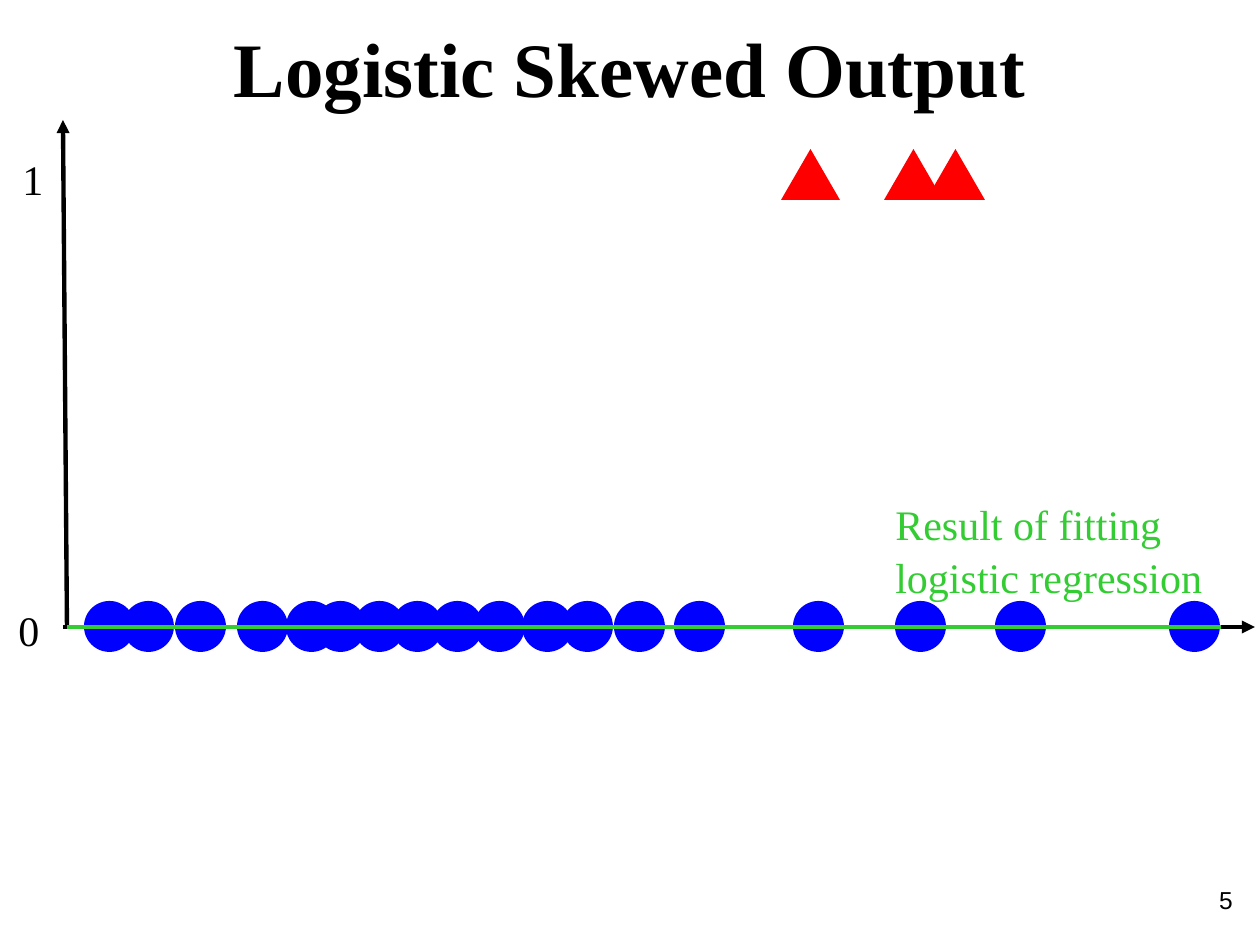
from lxml.etree import SubElement
from pptx import Presentation
from pptx.dml.color import RGBColor
from pptx.enum.shapes import MSO_CONNECTOR as CONN, MSO_SHAPE as SHAPE
from pptx.enum.text import PP_ALIGN as ALIGN
from pptx.oxml.ns import qn
from pptx.util import Emu, Pt

PX = 914400 // 126
BLACK = RGBColor(0x00, 0x00, 0x00)
RED = RGBColor(0xFF, 0x00, 0x00)
BLUE = RGBColor(0x00, 0x00, 0xFF)
GREEN = RGBColor(0x33, 0xCC, 0x33)

DOT = 51
TRIANGLE_W = 59
# left edges, measured from the left of the plot
NEGATIVES = (21, 60, 112, 174, 223, 252, 291, 329, 369, 411, 459, 499,
             551, 611, 730, 832, 932, 1106)
POSITIVES = (718, 821, 863)


def px(*lengths):
    """Turn pixel lengths into EMU."""
    return [Emu(n * PX) for n in lengths]


def add_text(s, box, text, size, color=BLACK, align=ALIGN.LEFT,
             name="Times New Roman", bold=False, spacing=1.06):
    """Place one paragraph of text in a box."""
    tf = s.shapes.add_textbox(*px(*box)).text_frame
    tf.word_wrap = True
    p = tf.paragraphs[0]
    p.alignment = align
    p.line_spacing = spacing
    r = p.add_run()
    r.text = text
    for key, value in dict(size=Pt(size), name=name, bold=bold).items():
        setattr(r.font, key, value)
    r.font.color.rgb = color


def add_line(s, start, end, color, arrow=False):
    """Draw a straight line, with an arrowhead at its end if asked."""
    line = s.shapes.add_connector(CONN.STRAIGHT, *px(*start, *end))
    line.line.color.rgb = color
    line.line.width = Pt(2.5)
    if arrow:
        SubElement(line.line._get_or_add_ln(), qn("a:tailEnd"), type="triangle")
    SubElement(line._element.spPr, qn("a:effectLst"))


def add_markers(s, kind, lefts, top, width, color):
    """Draw a row of equal markers."""
    for left in lefts:
        sp = s.shapes.add_shape(kind, *px(left, top, width, DOT))
        sp.shadow.inherit = False
        sp.fill.solid()
        sp.fill.fore_color.rgb = color
        sp.line.fill.background()


def add_plot(s, left, top, width, height):
    """Draw the axes, both classes of points and the fitted line."""
    base = top + height
    add_line(s, (left, base), (left + width, base), BLACK, arrow=True)
    add_line(s, (left + 4, base), (left, top), BLACK, arrow=True)
    add_markers(s, SHAPE.ISOSCELES_TRIANGLE, [left + x for x in POSITIVES],
                top + 29, TRIANGLE_W, RED)
    add_markers(s, SHAPE.OVAL, [left + x for x in NEGATIVES],
                base - DOT // 2 - 1, DOT, BLUE)
    add_line(s, (left + 4, base), (left + 1158, base), GREEN)
    add_text(s, (left + 820, base - 138, 338, 115),
             "Result of fitting logistic regression", 24, GREEN)
    add_text(s, (left - 57, base - 32, 57, 63), "0", 24)
    add_text(s, (left - 53, top + 24, 57, 63), "1", 24)


def build_slide(prs):
    """Add the slide with its title, plot and page number."""
    s = prs.slides.add_slide(prs.slide_layouts[6])
    add_text(s, (0, 9, 1260, 106), "Logistic Skewed Output", 44,
             align=ALIGN.CENTER, bold=True)
    add_plot(s, 63, 120, 1192, 507)
    add_text(s, (951, 879, 294, 66), "5", 14, align=ALIGN.RIGHT,
             name="Arial", spacing=1.0)


prs = Presentation()
prs.slide_width, prs.slide_height = px(1260, 945)
build_slide(prs)
prs.save("out.pptx")
